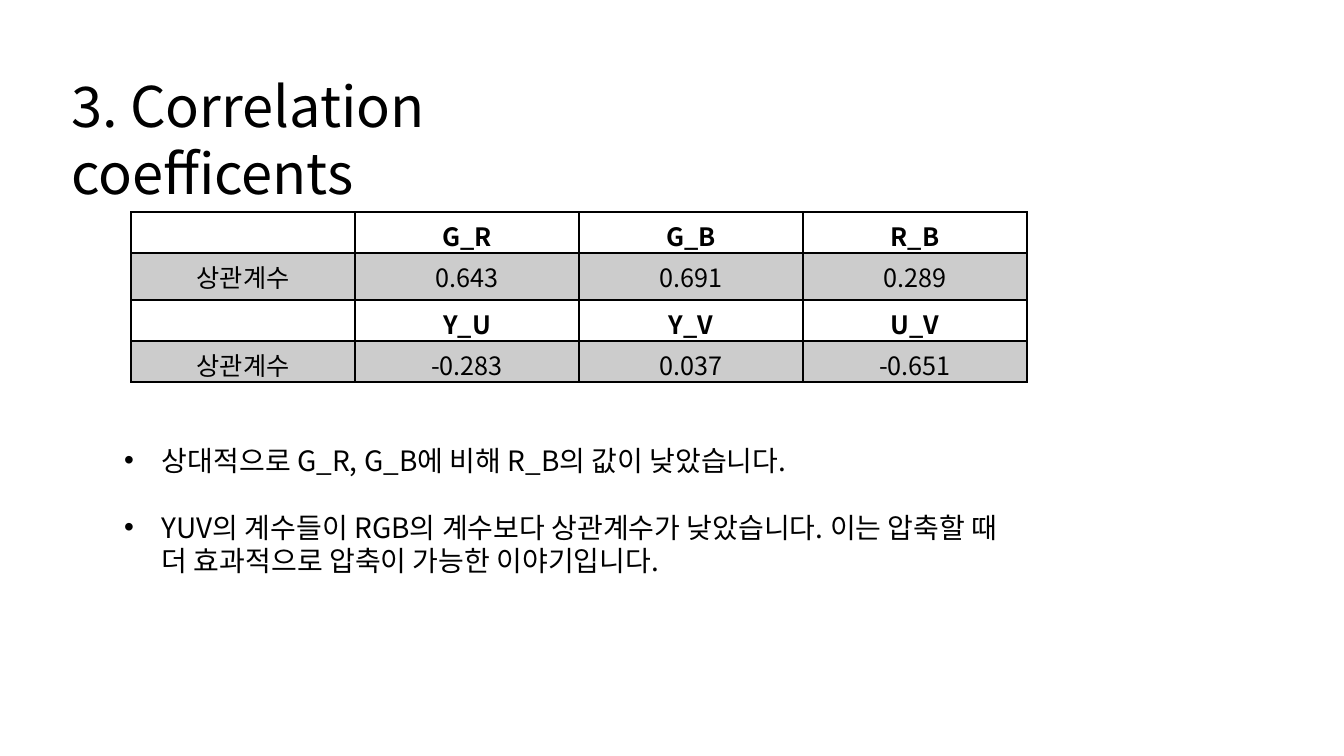
"""Build the slide on correlation coefficients of RGB and YUV channels."""
import lxml.etree
import pptx
import pptx.dml.color
import pptx.enum.text
import pptx.oxml.ns
import pptx.util

EMU_PER_PX = 914400 / 100.8
FONT = "Noto Sans CJK KR"
BLACK = pptx.dml.color.RGBColor(0x00, 0x00, 0x00)
SHADE_ALPHA = "20000"
COLUMN_WIDTH = 224
ROW_HEIGHTS = [41, 47, 41, 41]
COEFFICIENTS = [
    ["", "G_R", "G_B", "R_B"],
    ["상관계수", "0.643", "0.691", "0.289"],
    ["", "Y_U", "Y_V", "U_V"],
    ["상관계수", "-0.283", "0.037", "-0.651"],
]
FINDINGS = [
    "상대적으로 G_R, G_B에 비해 R_B의 값이 낮았습니다.",
    "YUV의 계수들이 RGB의 계수보다 상관계수가 낮았습니다. "
    "이는 압축할 때 더 효과적으로 압축이 가능한 이야기입니다.",
]


def px(length):
    """Turn pixels into EMU."""
    return pptx.util.Emu(round(length * EMU_PER_PX))


def add_child(parent, tag, **attributes):
    """Append an XML element to a parent."""
    return lxml.etree.SubElement(parent, pptx.oxml.ns.qn(tag), attributes)


def add_run(paragraph, wording, size, bold=False):
    """Add a black run in the slide font."""
    run = paragraph.add_run()
    run.text = wording
    run.font.size = pptx.util.Pt(size)
    run.font.bold = bold
    run.font.color.rgb = BLACK
    run.font.name = FONT
    add_child(run.font._element, "a:ea", typeface=FONT)


def fill_placeholder(placeholder, box, paragraphs, size, gap=0):
    """Place a placeholder and write its left-aligned paragraphs."""
    placeholder.left, placeholder.top, placeholder.width, placeholder.height = map(px, box)
    frame = placeholder.text_frame
    frame.word_wrap = True
    frame.auto_size = pptx.enum.text.MSO_AUTO_SIZE.SHAPE_TO_FIT_TEXT
    frame.vertical_anchor = pptx.enum.text.MSO_ANCHOR.TOP
    for index, wording in enumerate(paragraphs):
        paragraph = frame.add_paragraph() if index else frame.paragraphs[0]
        paragraph.alignment = pptx.enum.text.PP_ALIGN.LEFT
        paragraph.space_before = pptx.util.Pt(gap if index else 0)
        add_run(paragraph, wording, size)


def format_cell(cell, wording, is_header):
    """Write a cell with black borders, shaded unless it is a header."""
    properties = cell._tc.get_or_add_tcPr()
    for side in ("a:lnL", "a:lnR", "a:lnT", "a:lnB"):
        border = add_child(properties, side, w=str(pptx.util.Pt(1)))
        border_fill = add_child(border, "a:solidFill")
        add_child(border_fill, "a:srgbClr", val=str(BLACK))
    if is_header:
        cell.fill.background()
    else:
        cell.fill.solid()
        cell.fill.fore_color.rgb = BLACK
        shade = properties.find(".//" + pptx.oxml.ns.qn("a:solidFill") + "[last()]")
        shade = properties.findall(pptx.oxml.ns.qn("a:solidFill"))[0]
        add_child(shade[0], "a:alpha", val=SHADE_ALPHA)
    if wording:
        paragraph = cell.text_frame.paragraphs[0]
        paragraph.alignment = pptx.enum.text.PP_ALIGN.CENTER
        add_run(paragraph, wording, 18, is_header)


def add_coefficient_table(slide, left, top):
    """Add the grid of coefficients with alternating header rows."""
    column_count = len(COEFFICIENTS[0])
    table = slide.shapes.add_table(
        len(COEFFICIENTS), column_count, px(left), px(top),
        px(COLUMN_WIDTH * column_count), px(sum(ROW_HEIGHTS)),
    ).table
    table.first_row = False
    table.horz_banding = False
    for column in table.columns:
        column.width = px(COLUMN_WIDTH)
    for row_index, values in enumerate(COEFFICIENTS):
        table.rows[row_index].height = px(ROW_HEIGHTS[row_index])
        for column_index, value in enumerate(values):
            format_cell(table.cell(row_index, column_index), value, row_index % 2 == 0)


def main():
    """Build and save the slide."""
    deck = pptx.Presentation()
    deck.slide_width, deck.slide_height = px(1344), px(756)
    slide = deck.slides.add_slide(deck.slide_layouts[1])
    fill_placeholder(slide.shapes.title, (61, 66, 660, 78), ["3. Correlation coefficents"], 40)
    fill_placeholder(slide.placeholders[1], (114, 438, 912, 146), FINDINGS, 20, gap=24)
    add_coefficient_table(slide, 131, 212)
    deck.save("out.pptx")


if __name__ == "__main__":
    main()
